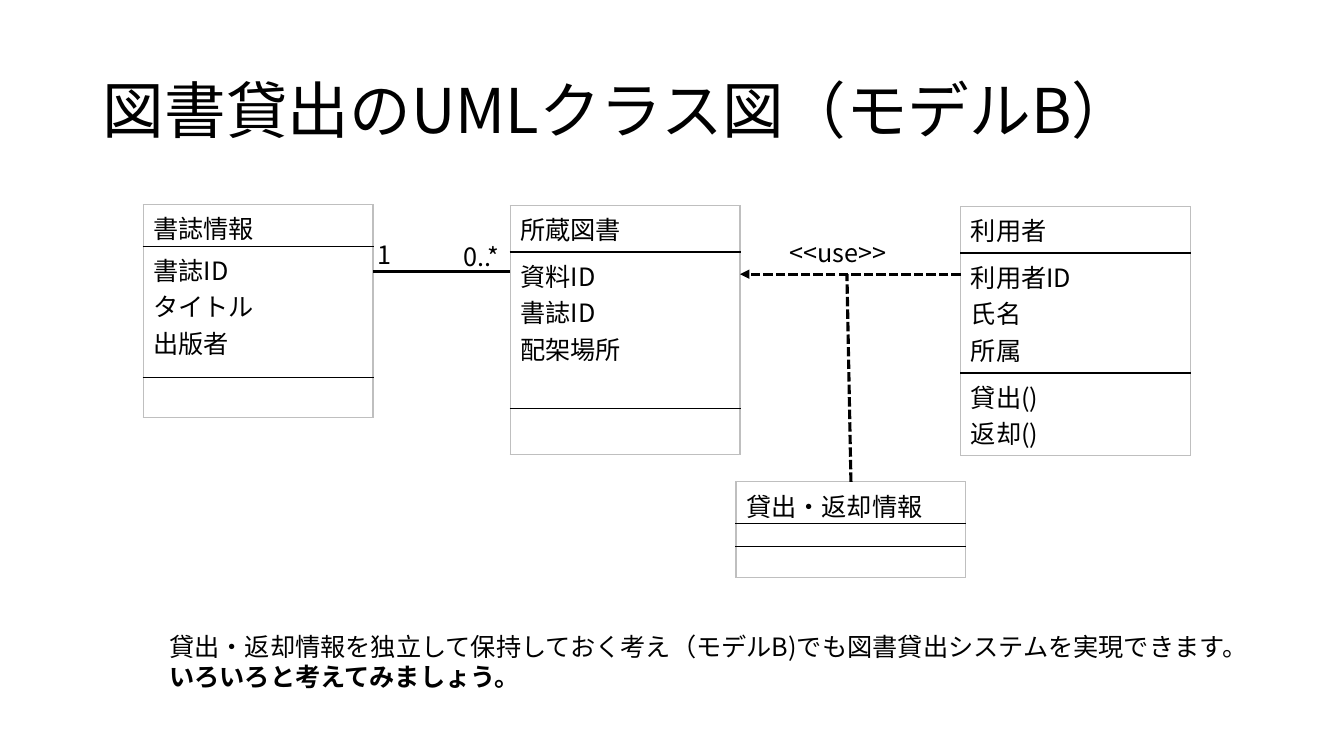
from lxml.etree import SubElement
from pptx import Presentation
from pptx.dml.color import RGBColor
from pptx.enum.dml import MSO_LINE_DASH_STYLE as Dash
from pptx.enum.shapes import MSO_CONNECTOR as Connector
from pptx.enum.text import MSO_ANCHOR as Anchor, MSO_AUTO_SIZE as AutoSize, PP_ALIGN as Align
from pptx.oxml.ns import qn
from pptx.util import Inches, Pt

FONT = "Noto Sans CJK JP"
COLORS = {"ink": "000000", "paper": "FFFFFF", "frame": "BFBFBF"}
TITLE = "図書貸出のUMLクラス図（モデルB）"
CLASS_WIDTH = 2.28
CLASSES = [
    {"at": (5.06, 2.04), "rows": (0.46, 1.55, 0.46),
     "cells": ("所蔵図書", "資料ID\v書誌ID\v配架場所", "")},
    {"at": (9.53, 2.05), "rows": (0.46, 1.19, 0.82),
     "cells": ("利用者", "利用者ID\v氏名\v所属", "貸出()\v返却()")},
    {"at": (7.3, 4.78), "rows": (0.4, 0.23, 0.31),
     "cells": ("貸出・返却情報", "", "")},
    {"at": (1.42, 2.03), "rows": (0.41, 1.3, 0.4),
     "cells": ("書誌情報", "書誌ID\vタイトル\v出版者", "")},
]
RELATIONS = [
    {"start": (9.53, 2.72), "end": (7.34, 2.72), "dashed": True, "arrow": True},
    {"start": (8.44, 4.78), "end": (8.4, 2.72), "dashed": True},
    {"start": (5.06, 2.69), "end": (3.7, 2.69)},
]
LABELS = [
    {"text": "<<use>>", "at": (7.73, 2.31, 1.35, 0.4), "wrap": False},
    {"text": "1", "at": (3.65, 2.33, 0.33, 0.4)},
    {"text": "0..*", "at": (4.5, 2.34, 0.59, 0.4), "wrap": False},
]
REMARK_AT = (1.58, 6.21, 11.25, 0.71)
REMARK = [
    ("貸出・返却情報を独立して保持しておく考え（モデルB)でも図書貸出システムを実現できます。", False),
    ("いろいろと考えてみましょう。", True),
]


def color(name):
    return RGBColor.from_string(COLORS[name])


def write(para, text, size=18, bold=False):
    para.text = text
    para.alignment = Align.LEFT
    for span in para.runs:
        span.font.name = FONT
        span.font.size = Pt(size)
        span.font.bold = bold
        span.font.color.rgb = color("ink")
        SubElement(span.font._element, qn("a:ea"), typeface=FONT)
    if not text:
        SubElement(para._p, qn("a:endParaRPr"), sz="800")


def add_borders(cell, first, last):
    properties = cell._tc.get_or_add_tcPr()
    edges = {"L": "frame", "R": "frame",
             "T": "frame" if first else "ink", "B": "frame" if last else "ink"}
    for index, (side, name) in enumerate(edges.items()):
        border = SubElement(properties, qn(f"a:ln{side}"), w=str(Pt(1)))
        fill = SubElement(border, qn("a:solidFill"))
        SubElement(fill, qn("a:srgbClr"), val=COLORS[name])
        properties.insert(index, border)


def add_class(page, at, rows, cells):
    left, top = at
    frame = page.shapes.add_table(len(rows), 1, Inches(left), Inches(top),
                                  Inches(CLASS_WIDTH), Inches(sum(rows)))
    table = frame.table
    table.first_row = table.horz_banding = False
    for index, (height, text) in enumerate(zip(rows, cells)):
        table.rows[index].height = Inches(height)
        cell = table.cell(index, 0)
        cell.margin_bottom = 0
        cell.fill.solid()
        cell.fill.fore_color.rgb = color("paper")
        write(cell.text_frame.paragraphs[0], text)
        add_borders(cell, index == 0, index == len(rows) - 1)


def add_relation(page, start, end, dashed=False, arrow=False):
    points = [Inches(value) for value in start + end]
    link = page.shapes.add_connector(Connector.STRAIGHT, *points)
    link.line.color.rgb = color("ink")
    link.line.width = Pt(2.25)
    if dashed:
        link.line.dash_style = Dash.SQUARE_DOT
    if arrow:
        SubElement(link.line._get_or_add_ln(), qn("a:tailEnd"), type="triangle")
    SubElement(link._element.spPr, qn("a:effectLst"))


def add_text(page, lines, at, wrap=True):
    box = page.shapes.add_textbox(*[Inches(value) for value in at])
    frame = box.text_frame
    frame.word_wrap = wrap
    frame.auto_size = AutoSize.SHAPE_TO_FIT_TEXT
    for index, (text, bold) in enumerate(lines):
        para = frame.add_paragraph() if index else frame.paragraphs[0]
        write(para, text, bold=bold)


def main():
    deck = Presentation()
    deck.slide_width, deck.slide_height = Inches(13.33), Inches(7.5)
    page = deck.slides.add_slide(deck.slide_layouts[5])
    title = page.shapes.title
    title.left, title.top = Inches(0.92), Inches(0.4)
    title.width, title.height = Inches(11.5), Inches(1.45)
    title.text_frame.vertical_anchor = Anchor.MIDDLE
    heading = title.text_frame.paragraphs[0]
    write(heading, TITLE, size=44)
    heading.line_spacing = 0.9
    for item in CLASSES:
        add_class(page, **item)
    for item in RELATIONS:
        add_relation(page, **item)
    for item in LABELS:
        add_text(page, [(item["text"], False)], item["at"], item.get("wrap", True))
    add_text(page, REMARK, REMARK_AT)
    deck.save("out.pptx")


if __name__ == "__main__":
    main()
